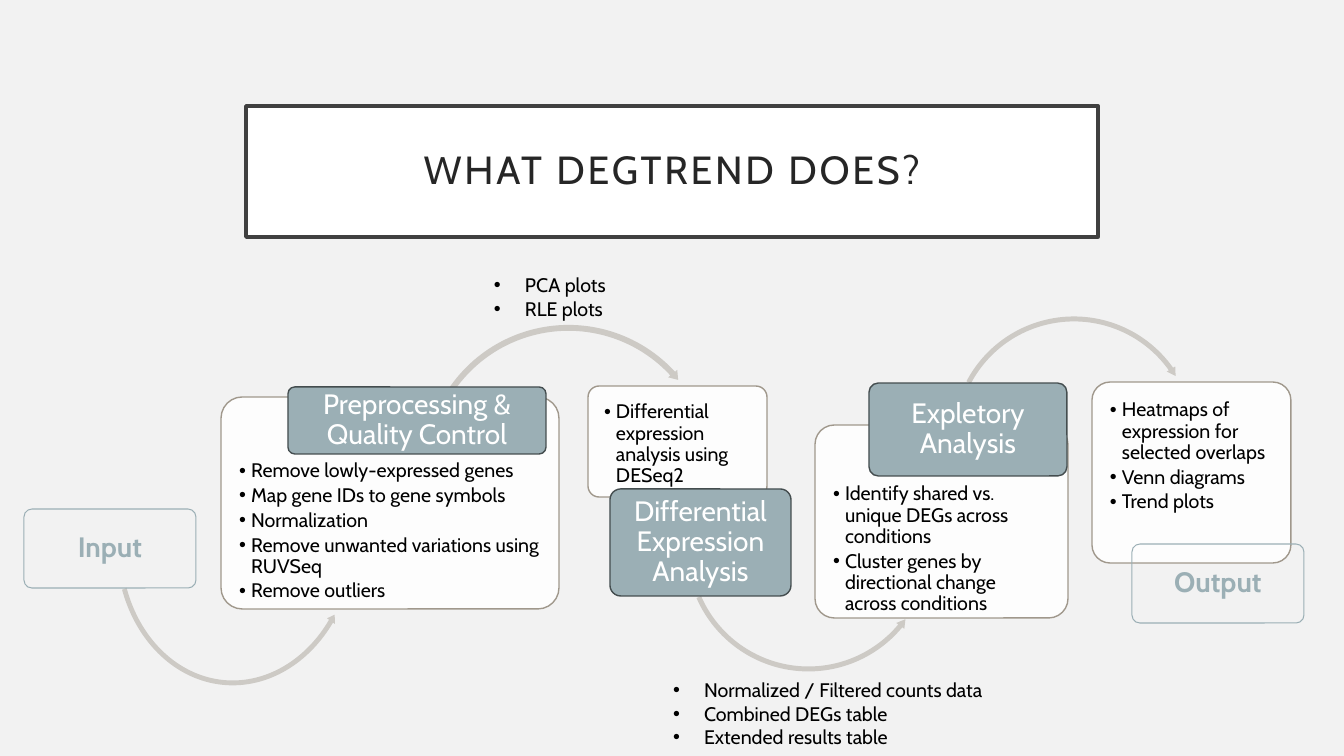
import pptx
import pptx.dml.color
import pptx.enum.shapes
import pptx.enum.text
import pptx.oxml
import pptx.oxml.ns
import pptx.util

EMU_PER_PX = 12192000 / 1344
FONT = "Cabin"
WHITE, BLACK = "FFFFFF", "000000"
STEEL, STEEL_EDGE = "9BAFB5", "444D4F"
CARD_EDGE, ARROW_GREY = "A0988C", "CDCAC5"
CORNER = 0.1

Shape = pptx.enum.shapes.MSO_SHAPE
Align = pptx.enum.text.PP_ALIGN
Anchor = pptx.enum.text.MSO_ANCHOR


def px(length):
    return pptx.util.Emu(round(length * EMU_PER_PX))


def color(hex_code):
    return pptx.dml.color.RGBColor.from_string(hex_code)


def paint(shape, fill=None, line=None, width=1):
    if fill:
        shape.fill.solid()
        shape.fill.fore_color.rgb = color(fill)
    else:
        shape.fill.background()
    if line:
        shape.line.color.rgb = color(line)
        shape.line.width = pptx.util.Pt(width)
    else:
        shape.line.fill.background()


def place(shape, bounds):
    shape.left, shape.top, shape.width, shape.height = map(px, bounds)


def set_bullet(para, indent):
    properties = para._p.get_or_add_pPr()
    properties.set("marL", str(px(indent)))
    properties.set("indent", str(-px(indent)))
    namespace = pptx.oxml.ns.nsdecls("a")
    for tag in ('buFont %s typeface="Arial"', 'buChar %s char="•"'):
        properties.append(pptx.oxml.parse_xml(f"<a:{tag % namespace}/>"))


def write(shape, lines, size=14, hex_code=BLACK, bold=False, align=Align.LEFT,
          anchor=Anchor.TOP, insets=(10, 5, 10, 5), line_spacing=0.9,
          space_after=0, bullet_indent=0, letter_spacing=0):
    frame = shape.text_frame
    frame.word_wrap = True
    frame.auto_size = pptx.enum.text.MSO_AUTO_SIZE.NONE
    frame.vertical_anchor = anchor
    (frame.margin_left, frame.margin_top,
     frame.margin_right, frame.margin_bottom) = map(px, insets)
    for index, line in enumerate(lines):
        para = frame.add_paragraph() if index else frame.paragraphs[0]
        para.alignment = align
        para.line_spacing = line_spacing
        para.space_before = pptx.util.Pt(0)
        para.space_after = pptx.util.Pt(space_after)
        if bullet_indent:
            set_bullet(para, bullet_indent)
        span = para.add_run()
        span.text = line
        span.font.name = FONT
        span.font.size = pptx.util.Pt(size)
        span.font.bold = bold
        span.font.color.rgb = color(hex_code)
        if letter_spacing:
            span.font._element.set("spc", str(letter_spacing * 100))


def add_preset(page, preset, bounds):
    shape = page.shapes.add_shape(preset, *map(px, bounds))
    shape.shadow.inherit = False
    return shape


def add_rounded_box(page, bounds, insets, lines, fill, line, width=1, **text_format):
    box = add_preset(page, Shape.ROUNDED_RECTANGLE, bounds)
    box.adjustments[0] = CORNER
    paint(box, fill, line, width)
    # A rounded box already insets its text by 0.29 of the corner radius
    corner_inset = 0.29 * CORNER * min(bounds[2:])
    write(box, lines, insets=[inset - corner_inset for inset in insets], **text_format)
    return box


def add_card(page, bounds, insets, lines):
    card = add_rounded_box(page, bounds, insets, lines, WHITE, CARD_EDGE,
                           space_after=2.5, bullet_indent=12)
    solid = card._element.spPr.find(pptx.oxml.ns.qn("a:solidFill"))
    solid[0].append(pptx.oxml.parse_xml(
        f'<a:alpha {pptx.oxml.ns.nsdecls("a")} val="90000"/>'))


def add_label(page, bounds, text):
    add_rounded_box(page, bounds, (6, 5, 6, 5), [text], STEEL, STEEL_EDGE, size=20,
                    hex_code=WHITE, align=Align.CENTER, anchor=Anchor.MIDDLE)


def add_endpoint(page, bounds, text):
    add_rounded_box(page, bounds, (6, 5, 6, 5), [text], None, STEEL, 0.75, size=20,
                    hex_code=STEEL, bold=True, align=Align.CENTER,
                    anchor=Anchor.MIDDLE)


def add_arc_arrow(page, preset, bounds, adjustments, rotation=0):
    arrow = add_preset(page, preset, bounds)
    for index, value in enumerate(adjustments):
        arrow.adjustments[index] = value
    arrow.rotation = rotation
    paint(arrow, ARROW_GREY)


def fill_note(placeholder, bounds, lines):
    place(placeholder, bounds)
    write(placeholder, lines, line_spacing=1, bullet_indent=31)


def main():
    deck = pptx.Presentation()
    deck.slide_width, deck.slide_height = px(1344), px(756)
    page = deck.slides.add_slide(deck.slide_layouts[3])
    page.background.fill.solid()
    page.background.fill.fore_color.rgb = color("F2F2F2")

    # Title and the notes beside the arrows
    title, plot_note, table_note = page.placeholders
    place(title, (246, 106, 852, 131))
    paint(title, WHITE, "404040", 2.5)
    write(title, ["WHAT DEGTREND DOES?"], size=28, hex_code="262626",
          align=Align.CENTER, anchor=Anchor.MIDDLE, insets=(20, 20, 20, 20),
          letter_spacing=2)
    fill_note(plot_note, (484, 268, 179, 57), ["PCA plots", "RLE plots"])
    fill_note(table_note, (663, 673, 360, 82), [
        "Normalized / Filtered counts data", "Combined DEGs table",
        "Extended results table"])

    # Input
    add_arc_arrow(page, Shape.LEFT_CIRCULAR_ARROW, (114, 396, 244, 292),
                  (0.02, 2.06, 21.31, 91.75, 0.02), rotation=4.3)
    add_endpoint(page, (24, 509, 172, 79), "Input")

    # Preprocessing
    add_card(page, (221, 397, 338, 212), (18, 64, 18, 18), [
        "Remove lowly-expressed genes", "Map gene IDs to gene symbols",
        "Normalization", "Remove unwanted variations using RUVSeq",
        "Remove outliers"])
    add_arc_arrow(page, Shape.CIRCULAR_ARROW, (421, 322, 295, 295),
                  (0.02, 2.03, 190.44, 119.98, 0.02))
    add_label(page, (288, 387, 258, 67), "Preprocessing & Quality Control")

    # Differential expression
    add_card(page, (588, 386, 179, 111), (16, 16, 16, 40),
             ["Differential expression analysis using DESeq2"])
    add_arc_arrow(page, Shape.LEFT_CIRCULAR_ARROW, (684, 425, 249, 249),
                  (0.02, 2.42, 23.86, 93.92, 0.02))
    add_label(page, (610, 489, 181, 107), "Differential Expression Analysis")

    # Exploration
    add_card(page, (815, 425, 253, 193), (18, 59, 18, 18), [
        "Identify shared vs. unique DEGs across conditions",
        "Cluster genes by directional change across conditions"])
    add_arc_arrow(page, Shape.CIRCULAR_ARROW, (950, 314, 248, 248),
                  (0.02, 2.44, 194.76, 124.7, 0.02))
    add_label(page, (869, 383, 198, 93), "Expletory Analysis")

    # Output
    add_card(page, (1092, 382, 199, 181), (18, 18, 18, 56), [
        "Heatmaps of expression for selected overlaps", "Venn diagrams",
        "Trend plots"])
    add_endpoint(page, (1132, 544, 172, 79), "Output")

    deck.save("out.pptx")


if __name__ == "__main__":
    main()
